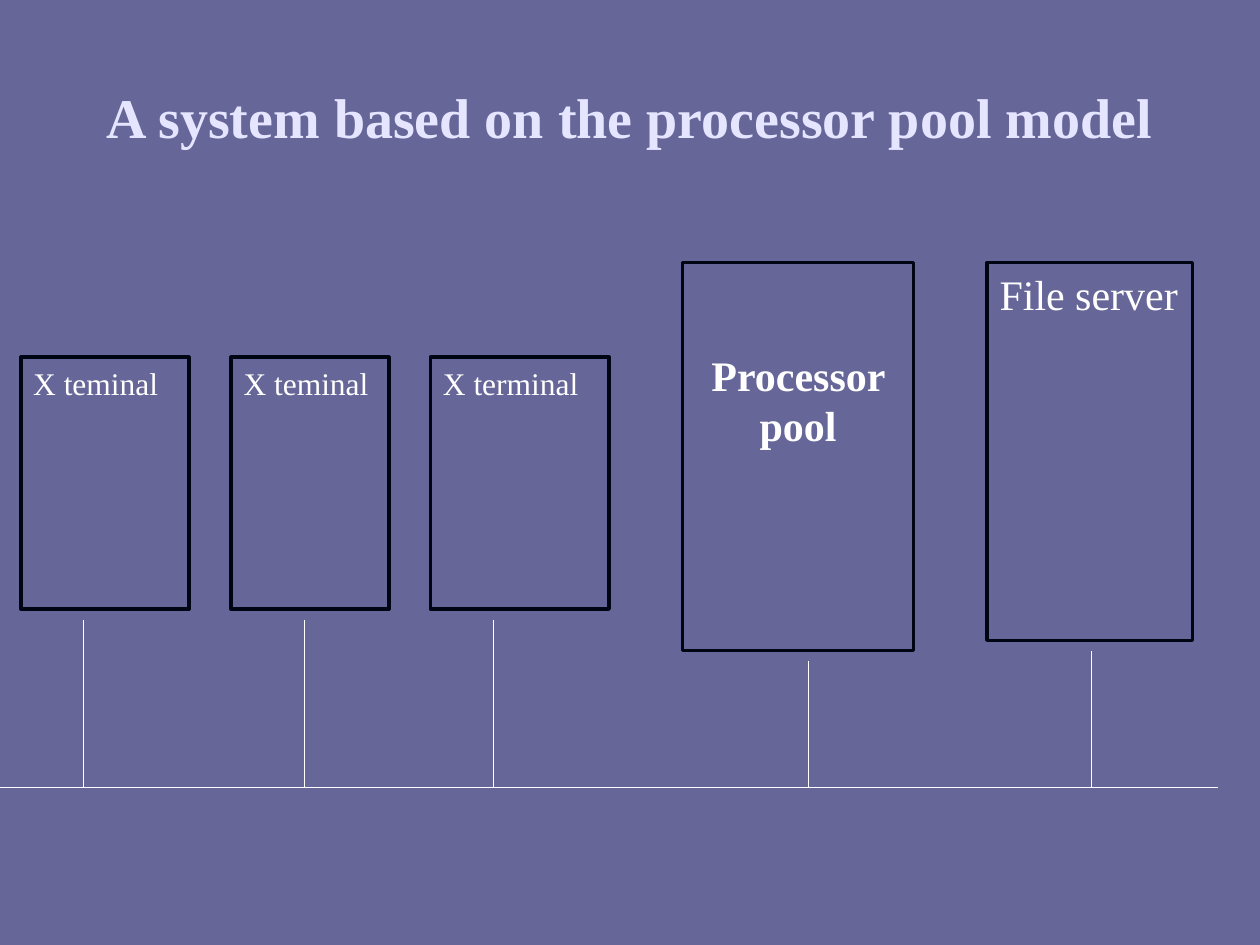
from dataclasses import dataclass

from lxml import etree
from pptx import Presentation
from pptx.dml.color import RGBColor
from pptx.enum.shapes import MSO_CONNECTOR, MSO_SHAPE
from pptx.enum.text import MSO_ANCHOR, PP_ALIGN
from pptx.oxml.ns import qn
from pptx.util import Cm, Pt

LEFT, CENTER = PP_ALIGN.LEFT, PP_ALIGN.CENTER
TOP, MIDDLE = MSO_ANCHOR.TOP, MSO_ANCHOR.MIDDLE
RECTANGLE = MSO_SHAPE.RECTANGLE
STRAIGHT = MSO_CONNECTOR.STRAIGHT


@dataclass(frozen=True)
class Theme:
    font: str = "Times New Roman"
    background: RGBColor = RGBColor(0x66, 0x66, 0x99)
    title: RGBColor = RGBColor(0xE5, 0xE5, 0xFF)
    text: RGBColor = RGBColor(0xFF, 0xFF, 0xFF)
    outline: RGBColor = RGBColor(0x00, 0x05, 0x14)
    title_size: int = 32
    server_size: int = 24
    terminal_size: int = 18


theme = Theme()


def write(shape, text, size, color=theme.text, bold=False, align=LEFT,
          anchor=TOP, wrap=True, inset_top=0.13):
    frame = shape.text_frame
    frame.word_wrap = wrap
    frame.vertical_anchor = anchor
    frame.margin_left = frame.margin_right = Cm(0.25)
    frame.margin_top, frame.margin_bottom = Cm(inset_top), Cm(0.13)
    para = frame.paragraphs[0]
    para.alignment = align
    span = para.add_run()
    span.text = text
    span.font.name = theme.font
    span.font.size = Pt(size)
    span.font.bold = bold
    span.font.color.rgb = color


def add_wire(page, x1, y1, x2, y2):
    wire = page.shapes.add_connector(STRAIGHT, Cm(x1), Cm(y1), Cm(x2), Cm(y2))
    wire.line.color.rgb = theme.text
    wire.line.width = Pt(0.75)
    etree.SubElement(wire._element.spPr, qn("a:effectLst"))


deck = Presentation()
deck.slide_width, deck.slide_height = Cm(25.4), Cm(19.05)
page = deck.slides.add_slide(deck.slide_layouts[5])
page.background.fill.solid()
page.background.fill.fore_color.rgb = theme.background

# Title
title = page.shapes.title
title.left, title.top, title.width, title.height = Cm(1.27), Cm(0.76), Cm(22.86), Cm(3.18)
write(title, "A system based on the processor pool model", theme.title_size,
      color=theme.title, bold=True, align=CENTER, anchor=MIDDLE)

# Network bus
bus_y = 15.88
add_wire(page, 0, bus_y, 24.56, bus_y)

# Machines: label, left, top, width, height, wire x, text format
terminal = dict(size=theme.terminal_size)
pool = dict(size=theme.server_size, bold=True, align=CENTER, inset_top=1.75)
server = dict(size=theme.server_size, wrap=False)
machines = [
    ("X teminal", 0.42, 7.2, 3.39, 5.08, 1.69, terminal),
    ("X teminal", 4.66, 7.2, 3.18, 5.08, 6.14, terminal),
    ("X terminal", 8.68, 7.2, 3.6, 5.08, 9.95, terminal),
    ("Processor pool", 13.76, 5.29, 4.66, 7.83, 16.3, pool),
    ("File server", 19.9, 5.29, 4.14, 7.62, 22.01, server),
]
wire_gap = 0.21
for label, left, top, width, height, wire_x, text_format in machines:
    box = page.shapes.add_shape(RECTANGLE, Cm(left), Cm(top), Cm(width), Cm(height))
    box.shadow.inherit = False
    box.fill.background()
    box.line.color.rgb = theme.outline
    box.line.width = Pt(2)
    write(box, label, **text_format)
    add_wire(page, wire_x, top + height + wire_gap, wire_x, bus_y)

deck.save("out.pptx")
